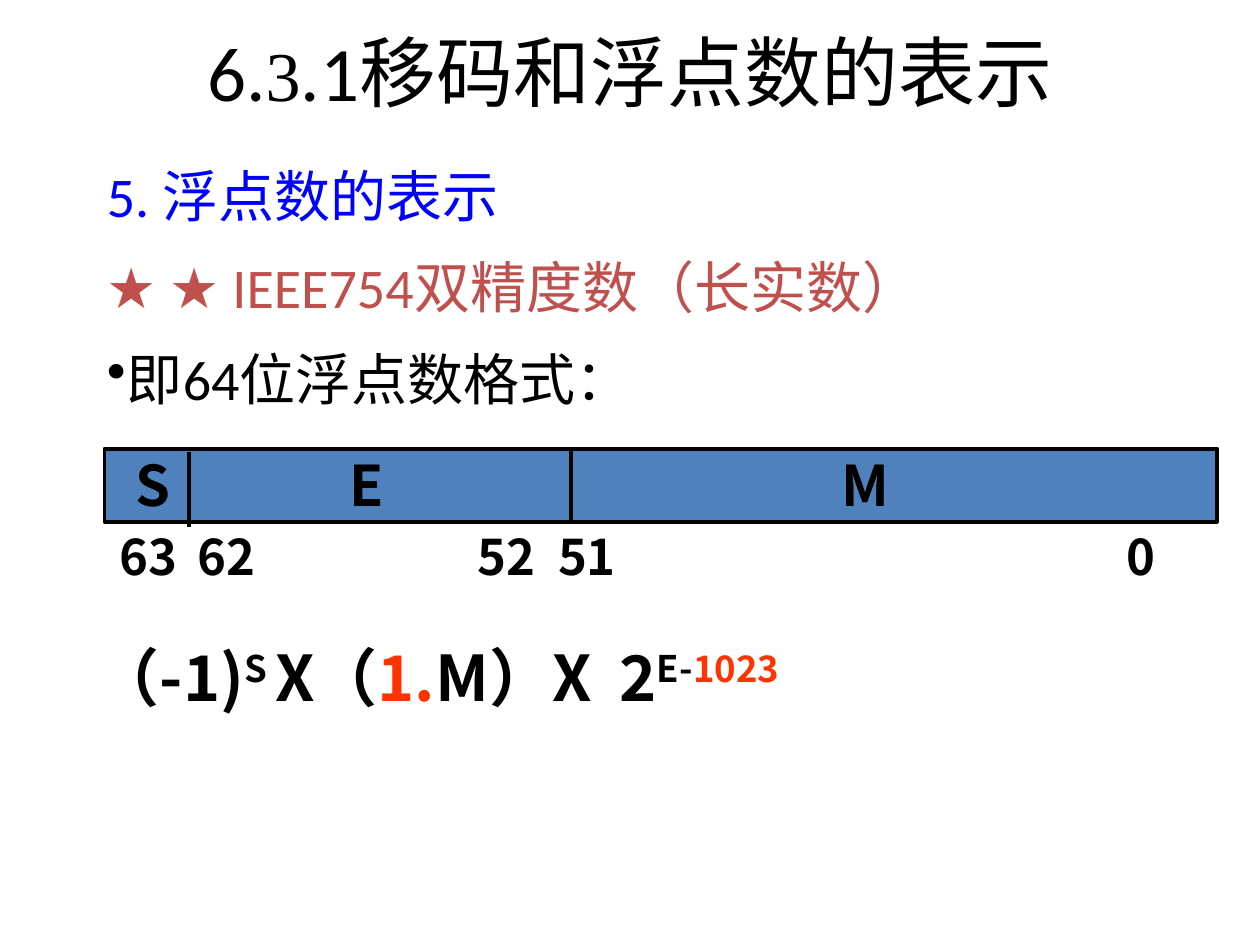
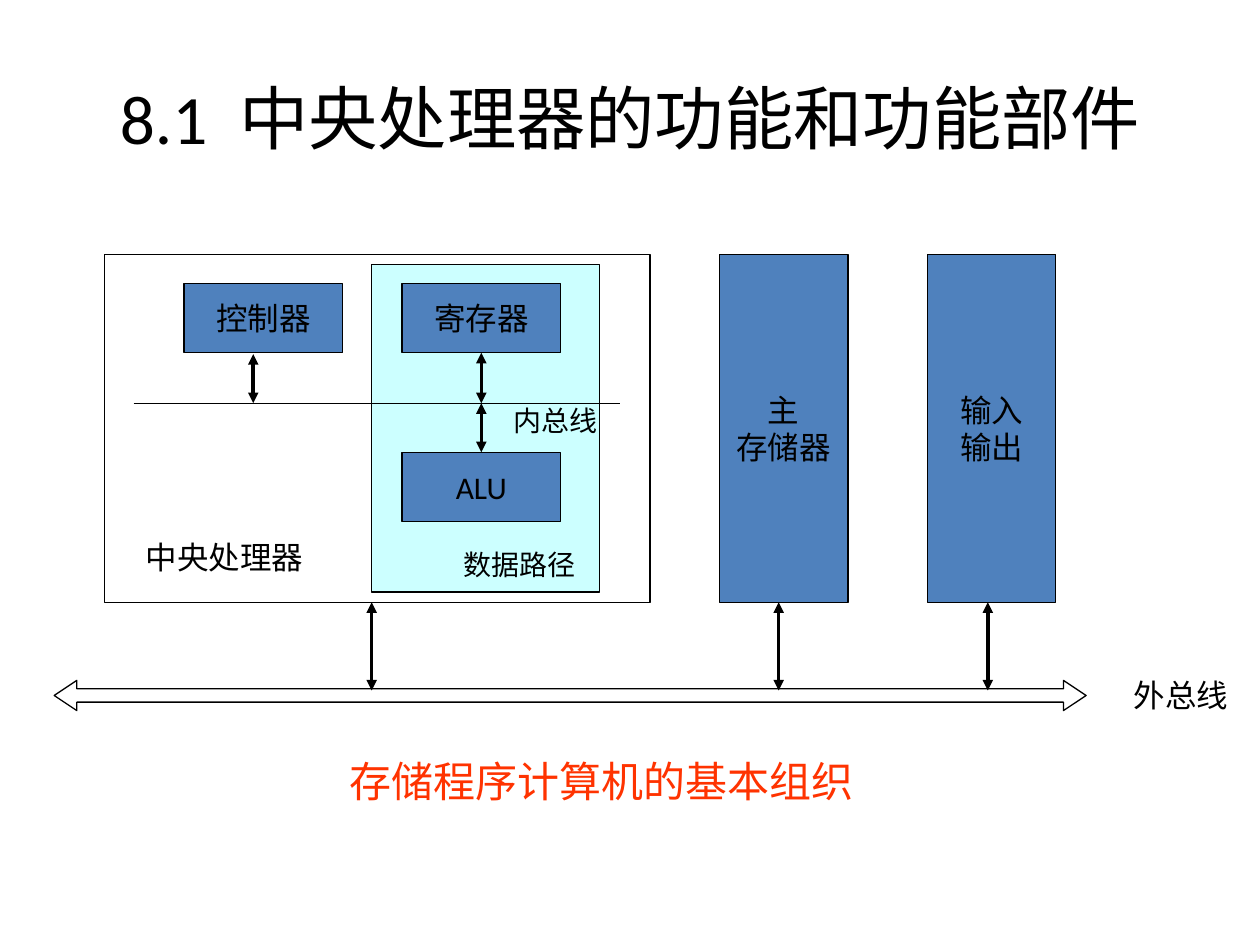
from dataclasses import dataclass

from lxml.etree import SubElement
from pptx import Presentation
from pptx.dml.color import RGBColor
from pptx.enum.shapes import MSO_CONNECTOR, MSO_SHAPE
from pptx.enum.text import MSO_ANCHOR, PP_ALIGN
from pptx.oxml.ns import qn
from pptx.util import Inches, Pt


@dataclass(frozen=True)
class Theme:
    black: str = "000000"
    blue: str = "0000FF"
    brick: str = "C0504D"
    orange: str = "FF3300"
    steel: str = "4F81BD"
    aqua: str = "CCFFFF"
    font: str = "Calibri"
    serif: str = "Times New Roman"
    heavy: str = "Noto Sans CJK JP"
    title: float = 44
    long_title: float = 39.6
    title_digit: float = 40
    body: float = 32
    bits: float = 28
    formula: float = 36
    caption: float = 24
    label: float = 18
    small: float = 16
    thin: float = 0.75
    arrow: float = 2
    thick: float = 2.25


T = Theme()


def add_run(p, text, size, color=T.black, font=T.font, bold=False, raised=False, spread=0):
    """Add one run; spread is extra letter spacing in points."""
    r = p.add_run()
    r.text = text
    r.font.size = Pt(size)
    r.font.bold = bold
    r.font.name = font
    r.font.color.rgb = RGBColor.from_string(color)
    rPr = r._r.get_or_add_rPr()
    SubElement(rPr, qn("a:ea")).set("typeface", font)
    if raised:
        rPr.set("baseline", "30000")
    if spread:
        rPr.set("spc", str(spread * 100))


def add_box(s, at, anchor=MSO_ANCHOR.TOP, align=PP_ALIGN.LEFT):
    """Add an empty wrapping text box and return its text frame."""
    tf = s.shapes.add_textbox(*map(Inches, at)).text_frame
    tf.word_wrap = True
    tf.vertical_anchor = anchor
    tf.paragraphs[0].alignment = align
    return tf


def add_title(s, at):
    return add_box(s, at, MSO_ANCHOR.MIDDLE, PP_ALIGN.CENTER).paragraphs[0]


def add_label(s, at, text, size=T.label, color=T.black, align=PP_ALIGN.LEFT):
    add_run(add_box(s, at, align=align).paragraphs[0], text, size, color)


def add_tabbed_row(s, at, texts, centers, size):
    """Put the first text at the left and centre the others on tab stops."""
    p = add_box(s, at, MSO_ANCHOR.MIDDLE).paragraphs[0]
    tabs = SubElement(p._p.get_or_add_pPr(), qn("a:tabLst"))
    for center in centers:
        tab = SubElement(tabs, qn("a:tab"))
        tab.set("pos", str(Inches(center)))
        tab.set("algn", "ctr")
    add_run(p, "\t".join(texts), size, font=T.heavy, bold=True)


def add_block(s, at, lines=(), fill=None, width=T.thin, shape=MSO_SHAPE.RECTANGLE):
    sp = s.shapes.add_shape(shape, *map(Inches, at))
    sp.shadow.inherit = False
    if fill:
        sp.fill.solid()
        sp.fill.fore_color.rgb = RGBColor.from_string(fill)
    else:
        sp.fill.background()
    sp.line.color.rgb = RGBColor.from_string(T.black)
    sp.line.width = Pt(width)
    tf = sp.text_frame
    tf.word_wrap = False
    tf.vertical_anchor = MSO_ANCHOR.MIDDLE
    for i, line in enumerate(lines):
        p = tf.add_paragraph() if i else tf.paragraphs[0]
        p.alignment = PP_ALIGN.CENTER
        add_run(p, line, T.label)
    return sp


def add_line(s, x1, y1, x2, y2, width=T.thin):
    ln = s.shapes.add_connector(MSO_CONNECTOR.STRAIGHT, *map(Inches, (x1, y1, x2, y2)))
    ln.line.color.rgb = RGBColor.from_string(T.black)
    ln.line.width = Pt(width)
    SubElement(ln._element.spPr, qn("a:effectLst"))
    return ln


def add_double_arrow(s, x, top, bottom):
    arrow = add_line(s, x, top, x, bottom, T.arrow)
    ln = arrow.line._get_or_add_ln()
    for end in ("a:headEnd", "a:tailEnd"):
        SubElement(ln, qn(end)).set("type", "triangle")
    return arrow


def add_body(s):
    tf = add_box(s, (0.75, 1.23, 8.5, 6.27))
    lines = [("5. 浮点数的表示", T.blue),
             ("★ ★ IEEE754双精度数（长实数）", T.brick),
             ("即64位浮点数格式：", T.black)]
    for i, (text, color) in enumerate(lines):
        p = tf.add_paragraph() if i else tf.paragraphs[0]
        if i:
            p.line_spacing = 1.2
            p.space_before = Pt(0.2 * T.body)
        add_run(p, text, T.body, color)
    SubElement(p._p.get_or_add_pPr(), qn("a:buChar")).set("char", "•")


def add_formula(s):
    p = add_box(s, (0.67, 5.02, 7.01, 0.7), MSO_ANCHOR.MIDDLE).paragraphs[0]
    parts = [("（-1)", {}), ("S ", {"raised": True}), ("X（", {}),
             ("1.", {"color": T.orange}), ("M）X", {}), (" ", {"spread": 8}), ("2", {}),
             ("E-", {"raised": True}), ("1023", {"raised": True, "color": T.orange})]
    for text, style in parts:
        add_run(p, text, T.formula, font=T.heavy, bold=True, **style)


def build_float_format(s):
    p = add_title(s, (0.75, 0.13, 8.5, 0.87))
    add_run(p, "6.", T.title)
    add_run(p, "3", T.title_digit, font=T.serif)
    add_run(p, ".1移码和浮点数的表示", T.title)
    add_body(s)

    add_block(s, (0.83, 3.56, 8.83, 0.58), fill=T.steel, width=T.thick)
    for x, top, bottom in ((1.5, 3.59, 4.18), (4.53, 3.56, 4.14)):
        add_line(s, x, top, x, bottom, T.thick)
    add_tabbed_row(s, (0.98, 3.53, 6.52, 0.63), "SEM", (1.83, 5.79), T.body)
    add_tabbed_row(s, (0.85, 4.13, 8.84, 0.57), ("63", "62", "52", "51", "0"),
                   (0.85, 3.07, 3.71, 8.11), T.bits)
    add_formula(s)


def build_processor(s):
    unit_w, unit_h = 1.26, 0.55
    tall_top, tall_w, tall_h = 2.02, 1.02, 2.76
    inner_bus, outer_bus = 3.2, 5.48

    add_block(s, (2.95, 2.1, 1.81, 2.6), fill=T.aqua)
    p = add_title(s, (0.5, 0.3, 9, 1.25))
    add_run(p, "8.1", T.long_title)
    add_run(p, " ", T.long_title, spread=9)
    add_run(p, "中央处理器的功能和功能部件", T.long_title)
    add_label(s, (0.83, 5.95, 7.88, 0.5), "存储程序计算机的基本组织",
              T.caption, T.orange, PP_ALIGN.CENTER)
    add_label(s, (3.58, 4.3, 1.18, 0.37), "数据路径", T.small)

    _, registers, alu = [
        add_block(s, (x, y, unit_w, unit_h), [name], T.steel)
        for name, x, y in (("控制器", 1.46, 2.25), ("寄存器", 3.19, 2.25), ("ALU", 3.19, 3.59))]
    add_line(s, 1.06, inner_bus, 4.92, inner_bus)
    add_double_arrow(s, 2.01, 2.81, inner_bus)
    add_double_arrow(s, 3.82, 2.8, inner_bus).begin_connect(registers, 2)
    add_double_arrow(s, 3.82, inner_bus, 3.59).end_connect(alu, 0)

    add_block(s, (0.83, tall_top, 4.33, tall_h))
    add_label(s, (1.06, 4.22, 1.57, 0.4), "中央处理器")
    for x, lines in ((5.71, ("主", "存储器")), (7.36, ("输入", "输出"))):
        add_block(s, (x, tall_top, tall_w, tall_h), lines, T.steel)

    bus = add_block(s, (0.43, 5.4, 8.19, 0.24), shape=MSO_SHAPE.LEFT_RIGHT_ARROW)
    bus.adjustments[0] = 0.44
    bus.adjustments[1] = 0.75
    for x in (2.95, 6.18, 7.84):
        add_double_arrow(s, x, tall_top + tall_h, outer_bus)
    add_label(s, (8.9, 5.32, 1.1, 0.4), "外总线")
    add_label(s, (3.98, 3.15, 0.94, 0.37), "内总线", T.small)


def main():
    prs = Presentation()
    prs.slide_width, prs.slide_height = Inches(10), Inches(7.5)
    for build in (build_float_format, build_processor):
        build(prs.slides.add_slide(prs.slide_layouts[6]))
    prs.save("out.pptx")


if __name__ == "__main__":
    main()
